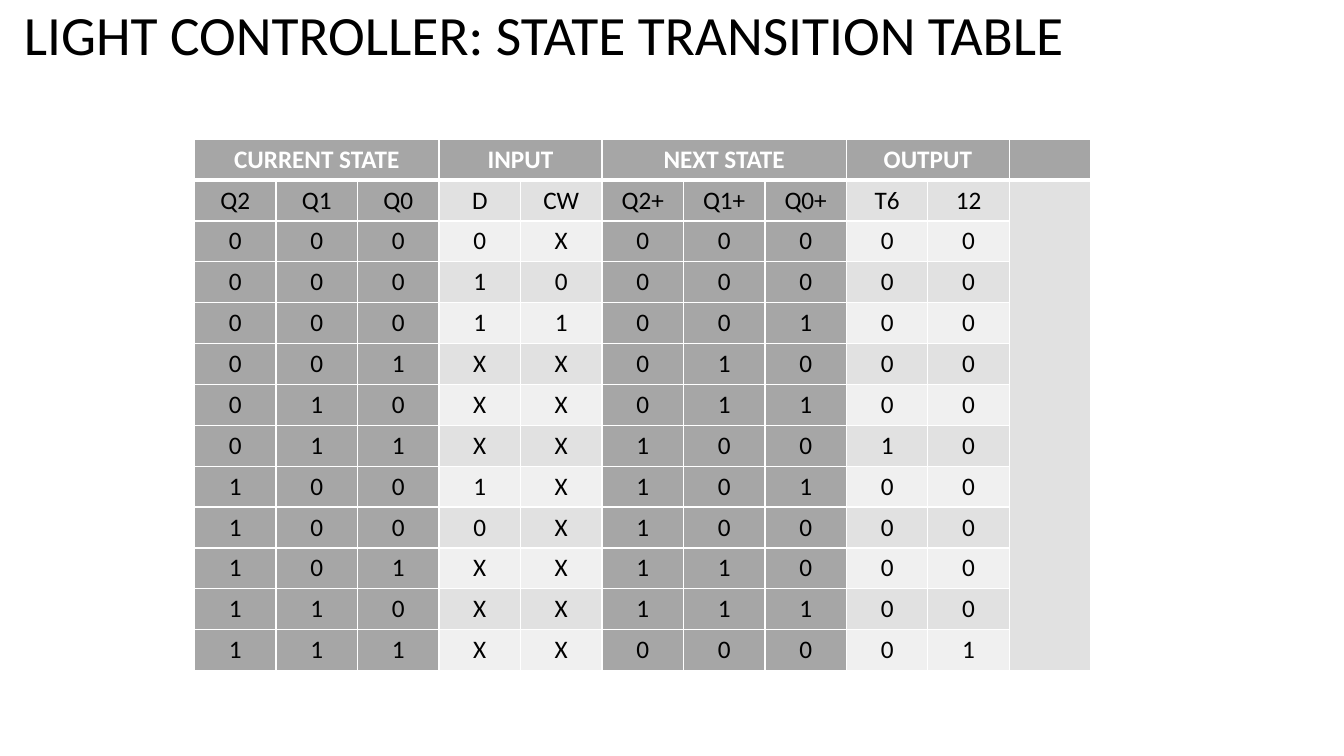
import pptx
import pptx.util
import pptx.dml.color
import pptx.enum.text
import pptx.oxml

Pt = pptx.util.Pt
COLORS = {
    "text": "000000",
    "white": "FFFFFF",
    "state": "A6A6A6",
    "header": "A5A5A5",
    "dark_band": "E1E1E1",
    "light_band": "F0F0F0",
}
GROUPS = [
    ("CURRENT STATE", 3, "state"),
    ("INPUT", 2, "header"),
    ("NEXT STATE", 3, "state"),
    ("OUTPUT", 2, "header"),
    ("", 1, "header"),
]
ROWS = [
    "Q2 Q1 Q0 D CW Q2+ Q1+ Q0+ T6 12",
    "0 0 0 0 X 0 0 0 0 0",
    "0 0 0 1 0 0 0 0 0 0",
    "0 0 0 1 1 0 0 1 0 0",
    "0 0 1 X X 0 1 0 0 0",
    "0 1 0 X X 0 1 1 0 0",
    "0 1 1 X X 1 0 0 1 0",
    "1 0 0 1 X 1 0 1 0 0",
    "1 0 0 0 X 1 0 0 0 0",
    "1 0 1 X X 1 1 0 0 0",
    "1 1 0 X X 1 1 1 0 0",
    "1 1 1 X X 0 0 0 0 1",
]


def write_text(frame, text, size=18, color="text", bold=False, align="CENTER", spacing=1.0):
    para = frame.paragraphs[0]
    para.alignment = getattr(pptx.enum.text.PP_ALIGN, align)
    para.line_spacing = spacing
    span = para.add_run()
    span.text = text
    span.font.name = "Calibri"
    span.font.size = Pt(size)
    span.font.bold = bold
    span.font.color.rgb = pptx.dml.color.RGBColor.from_string(COLORS[color])


class SlideBuilder:
    def __init__(self, page):
        self.page = page

    def title(self, text, left, top, width, height):
        box = self.page.shapes.add_textbox(Pt(left), Pt(top), Pt(width), Pt(height))
        frame = box.text_frame
        frame.word_wrap = True
        frame.auto_size = pptx.enum.text.MSO_AUTO_SIZE.NONE
        frame.vertical_anchor = pptx.enum.text.MSO_ANCHOR.MIDDLE
        write_text(frame, text, size=39.6, align="LEFT", spacing=0.9)

    def cell_style(self, cell, fill, top=1, bottom=1):
        cell.fill.solid()
        cell.fill.fore_color.rgb = pptx.dml.color.RGBColor.from_string(COLORS[fill])
        properties = cell._tc.get_or_add_tcPr()
        edges = {"lnL": 1, "lnR": 1, "lnT": top, "lnB": bottom}
        for position, (edge, width) in enumerate(edges.items()):
            line = pptx.oxml.parse_xml(
                f'<a:{edge} xmlns:a="http://schemas.openxmlformats.org/drawingml/2006/main" w="{Pt(width)}">'
                f'<a:solidFill><a:srgbClr val="{COLORS["white"]}"/></a:solidFill></a:{edge}>'
            )
            properties.insert(position, line)

    def table(self, groups, rows, left, top, column_width, row_height):
        column_fills = [fill for _, count, fill in groups for _ in range(count)]
        row_count, column_count = len(rows) + 1, len(column_fills)
        grid = self.page.shapes.add_table(
            row_count, column_count, Pt(left), Pt(top),
            Pt(column_width * column_count), Pt(row_height * row_count),
        ).table
        grid.first_row = False
        grid.horz_banding = False
        for column in grid.columns:
            column.width = Pt(column_width)
        for row in grid.rows:
            row.height = Pt(row_height)

        for index, fill in enumerate(column_fills):
            self.cell_style(grid.cell(0, index), fill, bottom=3)
        start = 0
        for label, count, _ in groups:
            header = grid.cell(0, start)
            if count > 1:
                header.merge(grid.cell(0, start + count - 1))
            if label:
                write_text(header.text_frame, label, color="white", bold=True)
            start += count

        for number, values in enumerate(rows, 1):
            band = "dark_band" if number % 2 else "light_band"
            for index, fill in enumerate(column_fills):
                cell_fill = "state" if fill == "state" else band
                self.cell_style(grid.cell(number, index), cell_fill, top=3 if number == 1 else 1)
            for index, value in enumerate(values.split()):
                write_text(grid.cell(number, index).text_frame, value)
        last = column_count - 1
        grid.cell(1, last).merge(grid.cell(row_count - 1, last))


def main():
    deck = pptx.Presentation()
    deck.slide_width = Pt(960)
    deck.slide_height = Pt(540)
    builder = SlideBuilder(deck.slides.add_slide(deck.slide_layouts[6]))
    builder.title("LIGHT CONTROLLER: STATE TRANSITION TABLE", 10, 7.2, 828, 39.6)
    builder.table(GROUPS, ROWS, left=139, top=99.4, column_width=58.2, row_height=29.2)
    deck.save("out.pptx")


if __name__ == "__main__":
    main()
